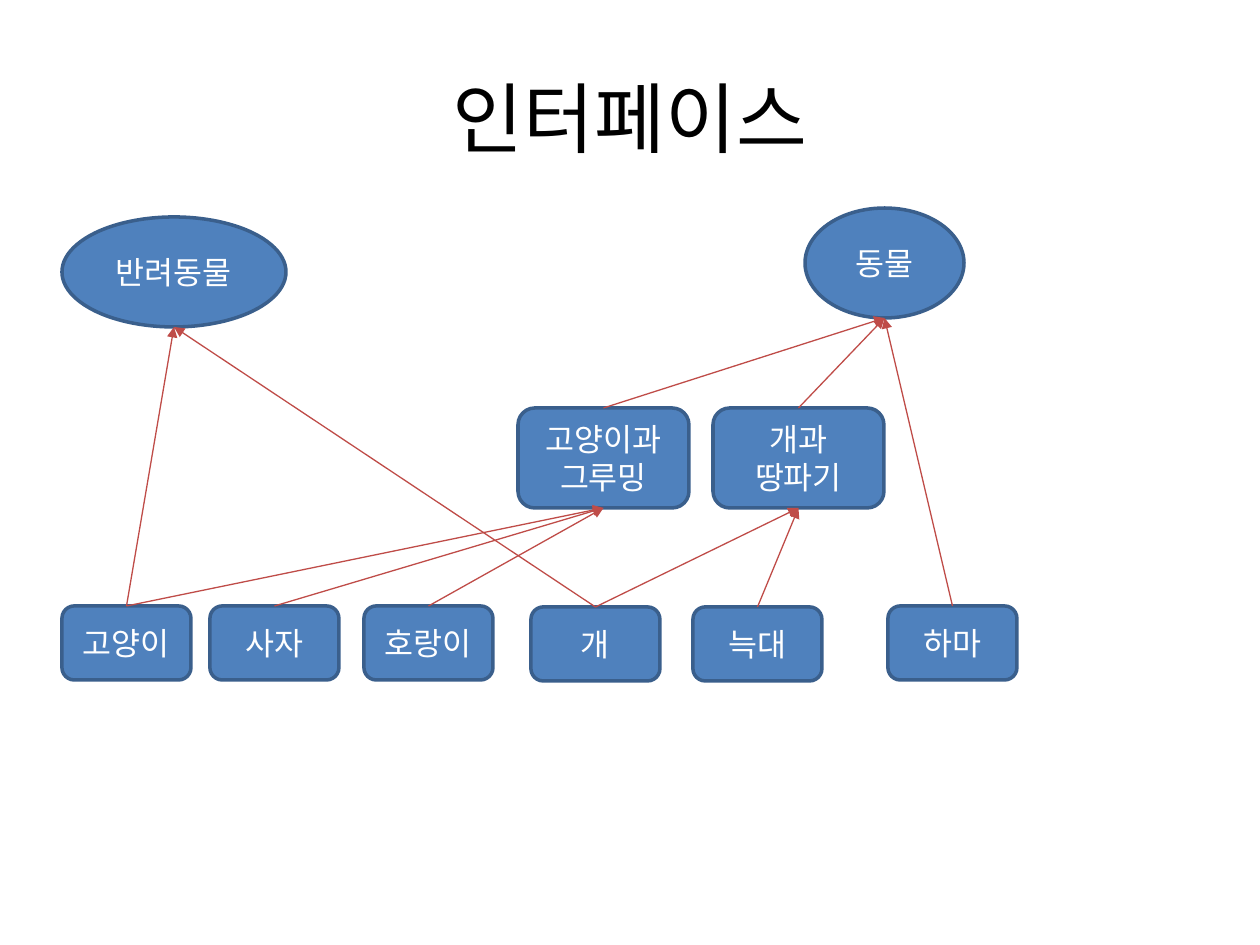
from pptx import Presentation
from pptx.dml.color import RGBColor
from pptx.enum.shapes import MSO_CONNECTOR, MSO_SHAPE
from pptx.enum.text import MSO_ANCHOR, PP_ALIGN
from pptx.oxml.ns import qn
from pptx.util import Pt
from lxml.etree import SubElement

PX = 914400 / 126
FONT = "Noto Sans CJK KR"
BLUE = RGBColor(0x4F, 0x81, 0xBD)
DARK_BLUE = RGBColor(0x3A, 0x5F, 0x8C)
RED = RGBColor(0xBF, 0x4C, 0x48)
WHITE = RGBColor(0xFF, 0xFF, 0xFF)
BLACK = RGBColor(0, 0, 0)
TOP, BOTTOM = 0, 2

# key: (text, left, top, width, height)
INTERFACES = {
    "pet": ("반려동물", 62, 217, 224, 110),
    "animal": ("동물", 805, 208, 159, 110),
}
FAMILIES = {
    "felines": ("고양이과\n그루밍", 518, 408, 171, 100),
    "canines": ("개과\n땅파기", 713, 408, 171, 100),
}
SPECIES = {
    "cat": ("고양이", 62, 606, 129, 74),
    "lion": ("사자", 210, 606, 129, 74),
    "tiger": ("호랑이", 364, 606, 129, 74),
    "dog": ("개", 531, 607, 129, 74),
    "wolf": ("늑대", 693, 607, 129, 74),
    "hippo": ("하마", 888, 606, 129, 74),
}
PARENTS = {
    "cat": ["felines", "pet"],
    "lion": ["felines"],
    "tiger": ["felines"],
    "dog": ["canines", "pet"],
    "wolf": ["canines"],
    "hippo": ["animal"],
    "felines": ["animal"],
    "canines": ["animal"],
}


def px(*lengths):
    return [round(length * PX) for length in lengths]


def write_text(shape, text, size, color):
    frame = shape.text_frame
    frame.word_wrap = True
    frame.vertical_anchor = MSO_ANCHOR.MIDDLE
    frame.text = text
    for para in frame.paragraphs:
        para.alignment = PP_ALIGN.CENTER
        for span in para.runs:
            span.font.size = Pt(size)
            span.font.color.rgb = color
            span.font.name = FONT
            SubElement(span.font._element, qn("a:ea"), typeface=FONT)


def add_title(page, text):
    box = page.shapes.add_textbox(*px(63, 38, 1134, 157))
    write_text(box, text, 44, BLACK)


def add_node(page, kind, text, *place):
    node = page.shapes.add_shape(kind, *px(*place))
    node.shadow.inherit = False
    node.fill.solid()
    node.fill.fore_color.rgb = BLUE
    node.line.color.rgb = DARK_BLUE
    node.line.width = Pt(2)
    write_text(node, text, 18, WHITE)
    return node


def add_arrow(page, child, parent):
    """Point from the top of the child to the bottom of the parent."""
    arrow = page.shapes.add_connector(
        MSO_CONNECTOR.STRAIGHT,
        child.left + child.width // 2, child.top,
        parent.left + parent.width // 2, parent.top + parent.height)
    arrow.begin_connect(child, TOP)
    # An ellipse numbers its sites differently, so only rectangles are joined.
    if parent.auto_shape_type == MSO_SHAPE.ROUNDED_RECTANGLE:
        arrow.end_connect(parent, BOTTOM)
    arrow.line.color.rgb = RED
    arrow.line.width = Pt(0.75)
    SubElement(arrow.line._get_or_add_ln(), qn("a:tailEnd"), type="triangle")
    SubElement(arrow._element.spPr, qn("a:effectLst"))


def main():
    deck = Presentation()
    deck.slide_width, deck.slide_height = px(1260, 945)
    page = deck.slides.add_slide(deck.slide_layouts[6])
    add_title(page, "인터페이스")
    nodes = {}
    for kind, group in ((MSO_SHAPE.OVAL, INTERFACES),
                        (MSO_SHAPE.ROUNDED_RECTANGLE, FAMILIES),
                        (MSO_SHAPE.ROUNDED_RECTANGLE, SPECIES)):
        for key, details in group.items():
            nodes[key] = add_node(page, kind, *details)
    for child, parents in PARENTS.items():
        for parent in parents:
            add_arrow(page, nodes[child], nodes[parent])
    deck.save("out.pptx")


if __name__ == "__main__":
    main()
